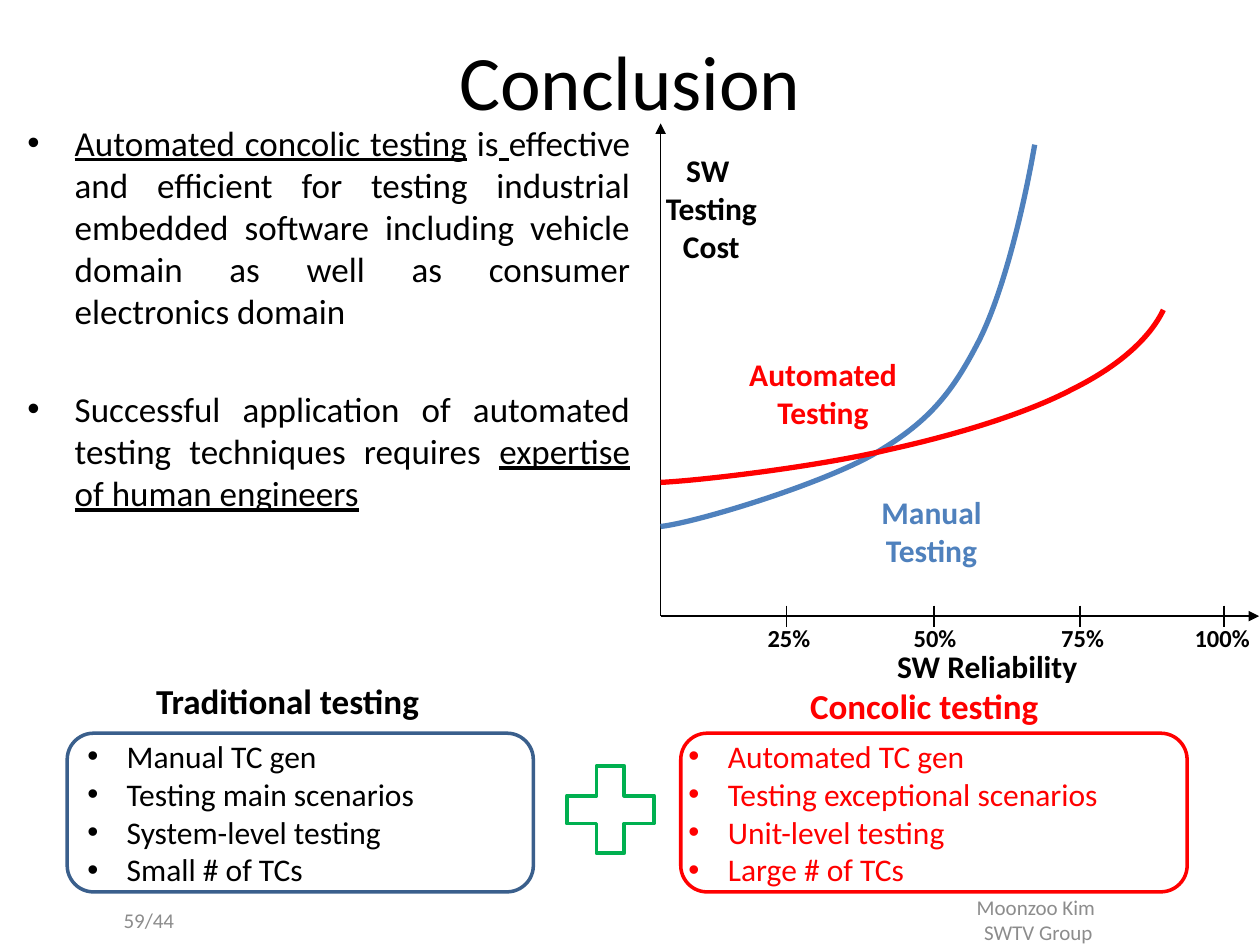
from lxml import etree
from pptx import Presentation
from pptx.dml.color import RGBColor
from pptx.enum import shapes as sh, text as tx
from pptx.oxml.ns import qn
from pptx.util import Pt

BLACK, RED, BLUE, NAVY, GREEN, GRAY = (
    "000000", "FF0000", "4F81BD", "3A5F8C", "00B050", "8C8C8C")
LEFT, MID, RIGHT, FULL = (tx.PP_ALIGN.LEFT, tx.PP_ALIGN.CENTER,
                          tx.PP_ALIGN.RIGHT, tx.PP_ALIGN.JUSTIFY)
TOP, CENTER = tx.MSO_ANCHOR.TOP, tx.MSO_ANCHOR.MIDDLE


def color(hue):
    return RGBColor.from_string(hue)


def fill_text(frame, paras, size=18, hue=BLACK, bold=False, align=LEFT,
              anchor=TOP, wrap=True, indent=0, gap=0, inset=7.2):
    """Each paragraph is a string or a list of (string, underlined) runs."""
    frame.word_wrap = wrap
    frame.vertical_anchor = anchor
    frame.margin_left = frame.margin_right = Pt(inset)
    frame.margin_top = frame.margin_bottom = Pt(3.6)
    for i, runs in enumerate(paras):
        para = frame.add_paragraph() if i else frame.paragraphs[0]
        para.alignment = align
        if indent:
            props = para._p.get_or_add_pPr()
            props.set("marL", str(Pt(indent)))
            props.set("indent", str(-Pt(indent)))
            etree.SubElement(props, qn("a:buFont")).set("typeface", "Arial")
            etree.SubElement(props, qn("a:buChar")).set("char", "•")
        if i and gap:
            para.space_before = Pt(gap)
        for words, under in [(runs, False)] if isinstance(runs, str) else runs:
            run = para.add_run()
            run.text = words
            font = run.font
            font.name, font.size, font.bold = "Calibri", Pt(size), bold
            font.color.rgb = color(hue)
            if under:
                font.underline = True


def add_text(slide, box, *paras, **fmt):
    area = slide.shapes.add_textbox(*map(Pt, box))
    fill_text(area.text_frame, paras, **fmt)


def outline(shape, hue, width):
    shape.shadow.inherit = False
    shape.fill.background()
    shape.line.color.rgb = color(hue)
    shape.line.width = Pt(width)


def add_line(slide, x1, y1, x2, y2, arrow=False):
    line = slide.shapes.add_connector(
        sh.MSO_CONNECTOR.STRAIGHT, *map(Pt, (x1, y1, x2, y2)))
    line.line.color.rgb = color(BLACK)
    line.line.width = Pt(1)
    props = line._element.spPr
    if arrow:
        etree.SubElement(props.find(qn("a:ln")), qn("a:tailEnd")).set(
            "type", "triangle")
    etree.SubElement(props, qn("a:effectLst"))


def add_curve(slide, x, y, knots, hue):
    """Draw cubic Bezier pieces; knots run start, control, control, end, ..."""
    spots = [(Pt(x + dx), Pt(y + dy)) for dx, dy in knots]
    path = slide.shapes.build_freeform(*spots[0])
    path.add_line_segments(spots[1:], close=False)
    curve = path.convert_to_shape()
    lines = list(curve._element.iter(qn("a:lnTo")))
    for k in range(0, len(lines), 3):
        piece = etree.Element(qn("a:cubicBezTo"))
        lines[k].addprevious(piece)
        for line in lines[k:k + 3]:
            piece.append(line[0])
            line.getparent().remove(line)
    outline(curve, hue, 3)


def add_graph(slide, box):
    x, y, w, h = box
    base = y + h
    add_line(slide, x, base, x + w, base, arrow=True)
    add_line(slide, x, base, x, y, arrow=True)
    add_curve(slide, x, y, [
        (0, 230.4), (20.2, 228.2), (93.6, 205.9), (123.8, 187.9),
        (154.1, 169.9), (167, 153.4), (182.2, 123.8),
        (196.6, 95), (208.1, 45.4), (213.8, 12.2)], BLUE)
    add_curve(slide, x, y, [
        (0, 205.2), (26.6, 203.8), (91.4, 195.8), (130.3, 186.5),
        (169.9, 177.8), (209.5, 165.6), (235.4, 151.9),
        (261.4, 139), (279.4, 123.1), (287.3, 106.6)], RED)
    add_line(slide, x + 263.5, base - 6, x + 263.5, base - 6)
    for mark, tick, left, width in [
            ("25%", 72, 54, 39.6), ("50%", 156.2, 137.5, 39.6),
            ("75%", 239.8, 221.8, 39.6), ("100%", 321.8, 298, 46.8)]:
        add_line(slide, x + tick, base - 6, x + tick, base + 6)
        add_text(slide, (x + left, base + 0.3, width, 24.5), mark,
                 size=14, bold=True, wrap=False)
    add_text(slide, (x + 128, base + 14, 118, 29), "SW Reliability",
             bold=True, wrap=False)
    add_text(slide, (x - 4.5, y + 12.2, 67, 72.7), "SW ", "Testing", "Cost",
             bold=True, align=MID, wrap=False)
    add_text(slide, (x + 101.5, y + 207.6, 106.6, 51), "Manual", "Testing",
             hue=BLUE, bold=True, align=MID)
    add_text(slide, (x + 33.8, y + 128.9, 118, 51), "Automated", "Testing",
             hue=RED, bold=True, align=MID)


def add_card(slide, box, head, spot, items, line, hue, inset):
    """Rounded list box; spot is the heading's box, offset from this one."""
    x, y, w, h = box
    dx, dy, width = spot
    add_text(slide, (x + dx, y + dy, width, 31.5), head,
             size=20, hue=hue, bold=True, wrap=False)
    card = slide.shapes.add_shape(sh.MSO_SHAPE.ROUNDED_RECTANGLE,
                                  *map(Pt, box))
    outline(card, line, 2)
    fill_text(card.text_frame, items, hue=hue, anchor=CENTER,
              indent=22.5, inset=inset)


def add_plus(slide, box):
    plus = slide.shapes.add_shape(sh.MSO_SHAPE.MATH_PLUS, *map(Pt, box))
    outline(plus, GREEN, 2.25)


def add_points(slide, box):
    add_text(slide, box, [
        ("Automated concolic testing", True), (" is", False), (" ", True),
        ("effective and efficient for testing industrial embedded software "
         "including vehicle domain as well as consumer electronics domain",
         False)], [
        ("Successful application of automated testing techniques requires ",
         False), ("expertise of human engineers", True)],
        size=20, align=FULL, indent=27, gap=32)


def add_footer(slide, box):
    x, y, w, h = box
    add_text(slide, (x, y, 70.6, h), "59/44", size=12, hue=GRAY,
             align=RIGHT, anchor=CENTER)
    add_text(slide, (x + w - 106.6, y, 106.6, h), "Moonzoo Kim ",
             "SWTV Group", size=12, hue=GRAY, align=MID, anchor=CENTER)


def main():
    deck = Presentation()
    deck.slide_width, deck.slide_height = Pt(720), Pt(540)
    slide = deck.slides.add_slide(deck.slide_layouts[6])
    add_text(slide, (0, 11.5, 720, 67.7), "Conclusion", size=44,
             align=MID, anchor=CENTER)
    add_points(slide, (8.6, 65.8, 358.6, 410.4))
    add_graph(slide, (377.5, 70.5, 342, 281.6))
    add_card(slide, (38.4, 419, 266.4, 90.7), "Traditional testing",
             (43.7, -34.5, 166.3),
             ["Manual TC gen", "Testing main scenarios",
              "System-level testing", "Small # of TCs"], NAVY, BLACK, 7.2)
    add_card(slide, (389, 419, 289.4, 90.7), "Concolic testing",
             (66.8, -31.6, 146.2),
             ["Automated TC gen", "Testing exceptional scenarios",
              "Unit-level testing", "Large # of TCs"], RED, RED, 0)
    add_plus(slide, (315, 428.8, 67.7, 67.7))
    add_footer(slide, (36, 511.2, 610.6, 28.8))
    deck.save("out.pptx")


if __name__ == "__main__":
    main()
